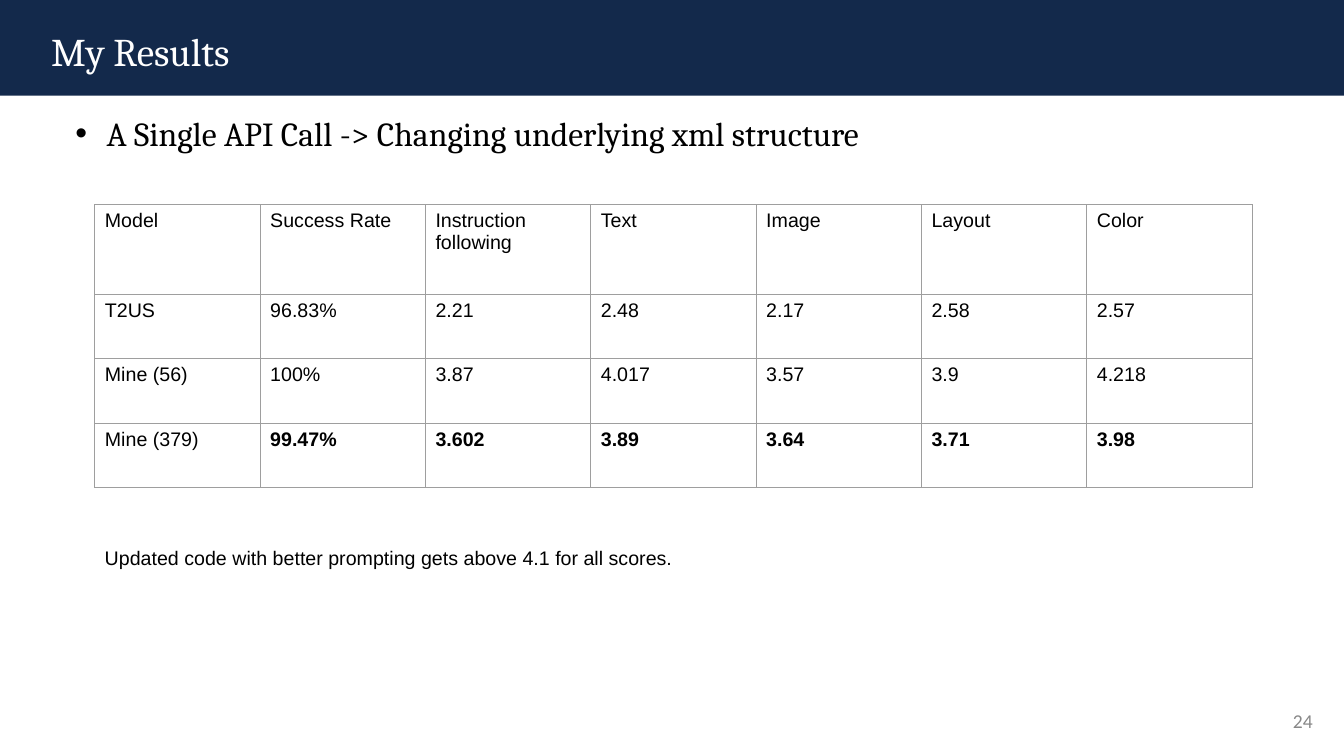
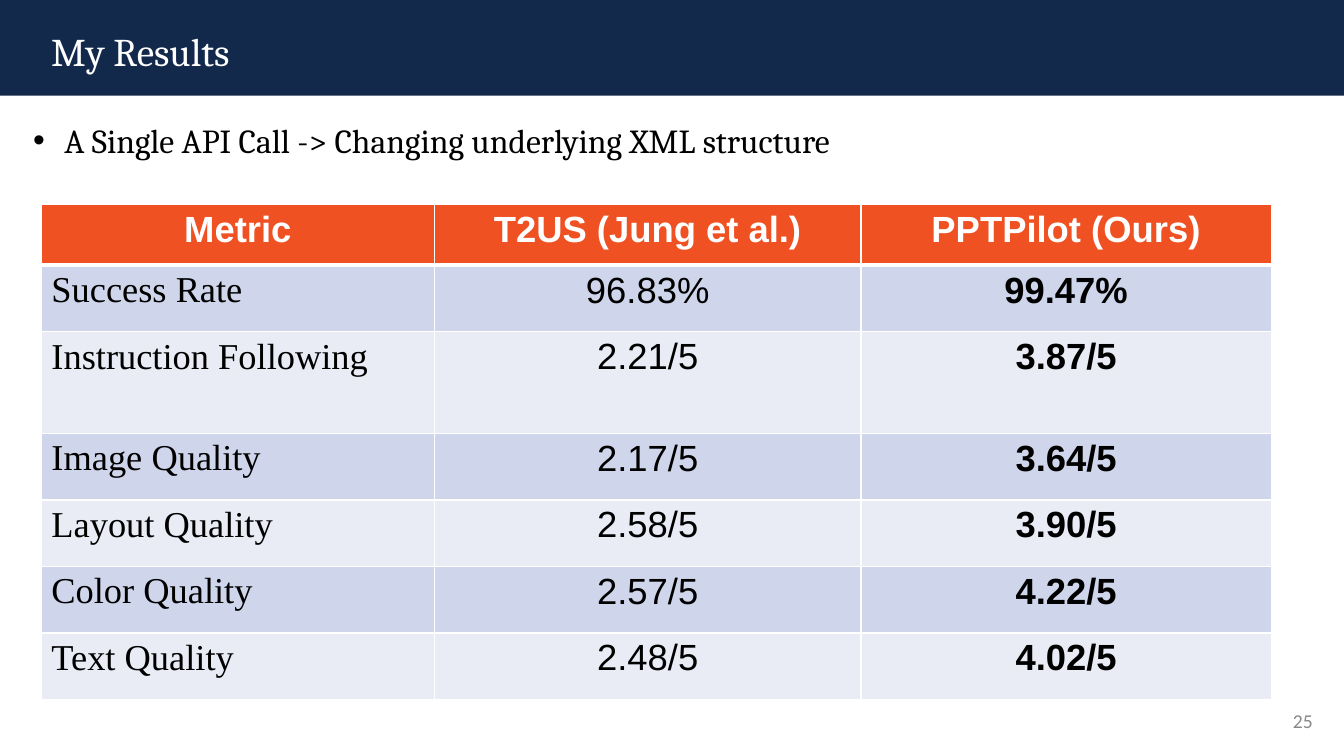
"""Build two result slides, each with a bulleted headline and a table."""
from lxml import etree
from pptx import Presentation
from pptx.dml.color import RGBColor
from pptx.enum.shapes import MSO_SHAPE
from pptx.enum.text import MSO_ANCHOR, PP_ALIGN
from pptx.oxml.ns import qn
from pptx.util import Pt

PX = 9144
RECT = MSO_SHAPE.RECTANGLE
MIDDLE = MSO_ANCHOR.MIDDLE
LEFT, CENTER, RIGHT = PP_ALIGN.LEFT, PP_ALIGN.CENTER, PP_ALIGN.RIGHT
NAVY, ORANGE, BLACK, WHITE = "13294B", "F05123", "000000", "FFFFFF"
PAGE_GRAY, GRID_GRAY = "888888", "9E9E9E"
BANDS = ["E9EBF5", "CFD5EA"]
rgb = RGBColor.from_string


def write(tf, text, size, font, color=BLACK, bold=False, align=LEFT):
    tf.word_wrap = True
    p = tf.paragraphs[0]
    p.alignment = align
    r = p.add_run()
    r.text = text
    r.font.size, r.font.name, r.font.bold = Pt(size), font, bold
    r.font.color.rgb = rgb(color)
    return p


def style_cell(cell, line, widths, fill=None):
    tcPr = cell._tc.get_or_add_tcPr()
    for side, width in zip(("lnL", "lnR", "lnT", "lnB"), widths):
        ln = etree.SubElement(tcPr, qn(f"a:{side}"), w=str(Pt(width)))
        solid = etree.SubElement(ln, qn("a:solidFill"))
        etree.SubElement(solid, qn("a:srgbClr"), val=line)
    if fill:
        cell.fill.solid()
        cell.fill.fore_color.rgb = rgb(fill)
    else:
        cell.fill.background()


prs = Presentation()
prs.slide_width, prs.slide_height = 1333 * PX, 750 * PX

score_rows = [
    ["Model", "Success Rate", "Instruction following", "Text", "Image", "Layout", "Color"],
    ["T2US", "96.83%", "2.21", "2.48", "2.17", "2.58", "2.57"],
    ["Mine (56)", "100%", "3.87", "4.017", "3.57", "3.9", "4.218"],
    ["Mine (379)", "99.47%", "3.602", "3.89", "3.64", "3.71", "3.98"],
]
metric_rows = [
    ["Metric", "T2US (Jung et al.)", "PPTPilot (Ours)"],
    ["Success Rate", "96.83%", "99.47%"],
    ["Instruction Following", "2.21/5", "3.87/5"],
    ["Image Quality", "2.17/5", "3.64/5"],
    ["Layout Quality", "2.58/5", "3.90/5"],
    ["Color Quality", "2.57/5", "4.22/5"],
    ["Text Quality", "2.48/5", "4.02/5"],
]
pages = [
    ("24", "A Single API Call -> Changing underlying xml structure", 65, 87,
     score_rows, 94, [164] * 7, [89, 64, 64, 64]),
    ("25", "A Single API Call -> Changing underlying XML structure", 23, 94,
     metric_rows, 41, [390, 423, 407], [60, 66, 101, 66, 66, 66, 66]),
]

slides, tables = [], []
for number, headline, head_x, head_y, rows, table_x, widths, heights in pages:
    s = prs.slides.add_slide(prs.slide_layouts[6])
    slides.append(s)

    band = s.shapes.add_shape(RECT, 0, 0, prs.slide_width, 95 * PX)
    band.shadow.inherit = False
    band.fill.solid()
    band.fill.fore_color.rgb = rgb(NAVY)
    band.line.fill.background()

    title = s.shapes.add_textbox(41 * PX, 22 * PX, 1193 * PX, 57 * PX)
    write(title.text_frame, "My Results", 28, "Cambria", WHITE)

    page = s.shapes.add_textbox(1012 * PX, 695 * PX, 300 * PX, 40 * PX)
    page.text_frame.vertical_anchor = MIDDLE
    write(page.text_frame, number, 14, "Calibri", PAGE_GRAY, align=RIGHT)

    bullet = s.shapes.add_textbox(head_x * PX, head_y * PX, 1239 * PX, 63 * PX)
    p = write(bullet.text_frame, headline, 24, "Cambria")
    pPr = p._p.get_or_add_pPr()
    pPr.set("marL", str(31 * PX))
    pPr.set("indent", str(-31 * PX))
    color = etree.SubElement(pPr, qn("a:buClr"))
    etree.SubElement(color, qn("a:srgbClr"), val=BLACK)
    etree.SubElement(pPr, qn("a:buFont"), typeface="Arial")
    etree.SubElement(pPr, qn("a:buChar"), char="•")
    p.line_spacing = 1.5

    table = s.shapes.add_table(len(rows), len(widths), table_x * PX, 203 * PX,
                               sum(widths) * PX, sum(heights) * PX).table
    table.first_row = table.horz_banding = False
    for column, width in zip(table.columns, widths):
        column.width = width * PX
    for row, height in zip(table.rows, heights):
        row.height = height * PX
    tables.append(table)

for i, row in enumerate(score_rows):
    for j, text in enumerate(row):
        cell = tables[0].cell(i, j)
        style_cell(cell, GRID_GRAY, [0.75] * 4)
        best = i == len(score_rows) - 1 and j > 0
        write(cell.text_frame, text, 14, "Arial", bold=best)

for i, row in enumerate(metric_rows):
    header = i == 0
    for j, text in enumerate(row):
        cell = tables[1].cell(i, j)
        style_cell(cell, WHITE, [1, 1, 1, 3 if header else 1],
                   ORANGE if header else BANDS[i % 2])
        label = j == 0 and not header
        write(cell.text_frame, text, 26,
              "Times New Roman" if label else "Arial",
              WHITE if header else BLACK,
              header or j == 2,
              LEFT if label else CENTER)

note = slides[0].shapes.add_textbox(94 * PX, 537 * PX, 690 * PX, 34 * PX)
write(note.text_frame, "Updated code with better prompting gets above 4.1 for all scores.",
      14, "Arial")

prs.save("out.pptx")
